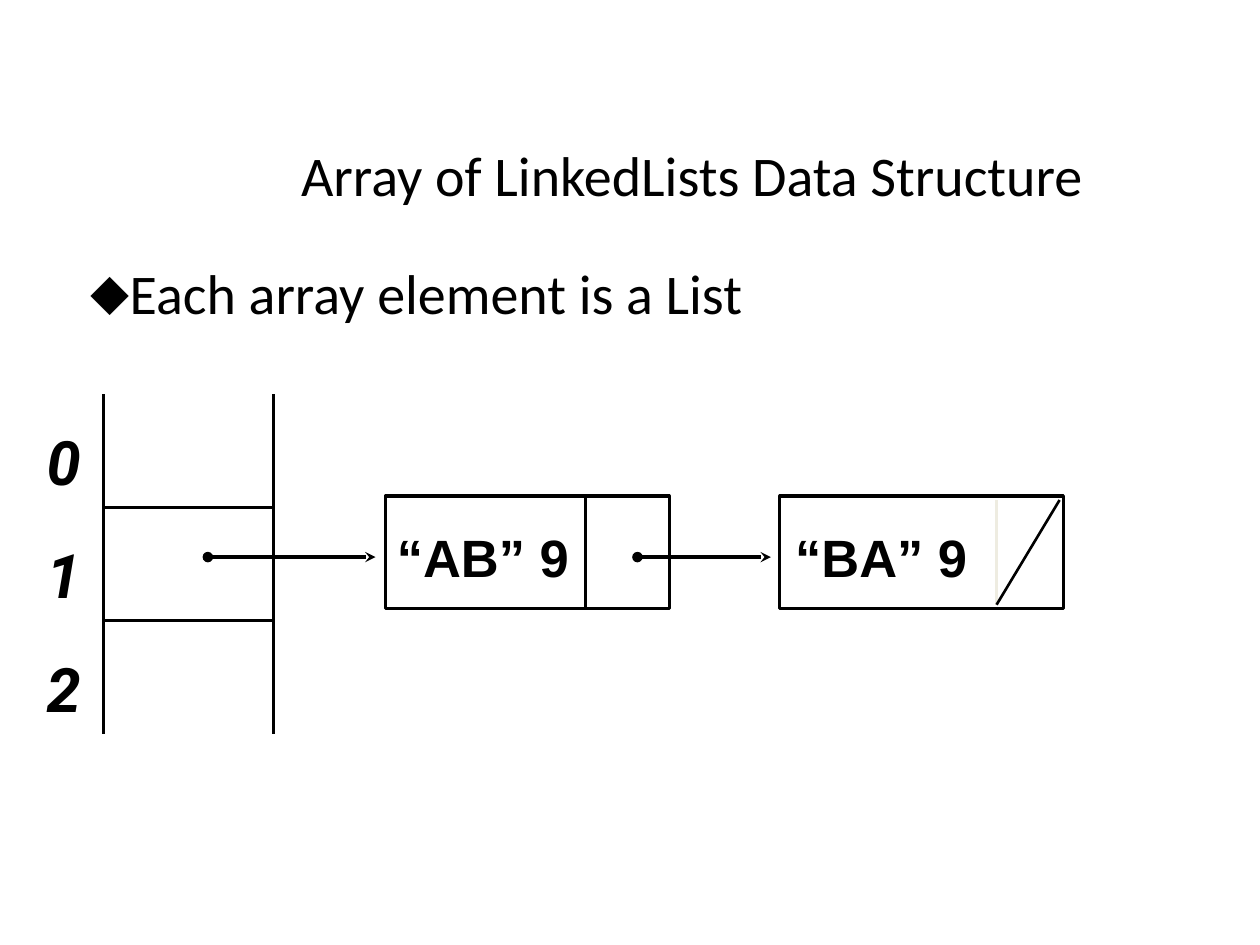
import pptx
import pptx.dml.color
import pptx.enum.shapes
import pptx.enum.text
import pptx.oxml
import pptx.oxml.ns
import pptx.util
from pptx.util import Cm

COLORS = {"ink": "000000", "paper": "FFFFFF", "faint": "EEECE1"}


def rgb(name):
    return pptx.dml.color.RGBColor.from_string(COLORS[name])


def add_xml(parent, tag, **attributes):
    element = pptx.oxml.parse_xml(f"<{tag} {pptx.oxml.ns.nsdecls('a')}/>")
    for key, value in attributes.items():
        element.set(key, value)
    parent.append(element)
    return element


class ListDiagram:
    heading_font = "Calibri"
    node_font = "Arial"
    index_font = "Roboto"
    border = 1.75

    def __init__(self, slide):
        self.slide = slide

    def add_words(self, paragraph, words, size, font, bold=None, italic=None):
        run = paragraph.add_run()
        run.text = words
        run.font.size = pptx.util.Pt(size)
        run.font.name = font
        run.font.bold = bold
        run.font.italic = italic
        run.font.color.rgb = rgb("ink")

    def fill_placeholder(self, index, words, left, top, width, height):
        holder = self.slide.placeholders[index]
        holder.left, holder.top = Cm(left), Cm(top)
        holder.width, holder.height = Cm(width), Cm(height)
        holder.text_frame.auto_size = pptx.enum.text.MSO_AUTO_SIZE.NONE
        paragraph = holder.text_frame.paragraphs[0]
        self.add_words(paragraph, words, 32, self.heading_font)
        return paragraph

    def title(self, words, *place):
        paragraph = self.fill_placeholder(0, words, *place)
        paragraph.alignment = pptx.enum.text.PP_ALIGN.CENTER

    def bullet(self, words, *place):
        paragraph = self.fill_placeholder(1, words, *place)
        paragraph.level = 1
        properties = paragraph._p.get_or_add_pPr()
        properties.set("marL", str(Cm(1.09)))
        properties.set("indent", str(Cm(-0.79)))
        spacing = add_xml(properties, "a:spcBef")
        add_xml(spacing, "a:spcPct", val="20000")
        color = add_xml(properties, "a:buClr")
        add_xml(color, "a:srgbClr", val=COLORS["ink"])
        add_xml(properties, "a:buChar", char="⬥")

    def box(self, left, top, width, height, fill=None, line=None):
        shape = self.slide.shapes.add_shape(
            pptx.enum.shapes.MSO_SHAPE.RECTANGLE,
            Cm(left), Cm(top), Cm(width), Cm(height))
        shape.shadow.inherit = False
        if fill:
            shape.fill.solid()
            shape.fill.fore_color.rgb = rgb(fill)
        else:
            shape.fill.background()
        if line:
            shape.line.color.rgb = rgb(line)
            shape.line.width = pptx.util.Pt(self.border)
        else:
            shape.line.fill.background()

    def line(self, x1, y1, x2, y2, width=border, color="ink"):
        connector = self.slide.shapes.add_connector(
            pptx.enum.shapes.MSO_CONNECTOR.STRAIGHT,
            Cm(x1), Cm(y1), Cm(x2), Cm(y2))
        connector.line.color.rgb = rgb(color)
        connector.line.width = pptx.util.Pt(width)
        add_xml(connector._element.spPr, "a:effectLst")
        return connector

    def pointer(self, start, end, y):
        outline = self.line(start, y, end, y, 2).line._get_or_add_ln()
        add_xml(outline, "a:headEnd", type="oval")
        add_xml(outline, "a:tailEnd", type="stealth")

    def label(self, words, left, top, width, height, size, font, italic=None):
        frame = self.slide.shapes.add_textbox(
            Cm(left), Cm(top), Cm(width), Cm(height)).text_frame
        frame.margin_left = frame.margin_right = 0
        frame.margin_top = frame.margin_bottom = 0
        frame.word_wrap = False
        frame.auto_size = pptx.enum.text.MSO_AUTO_SIZE.SHAPE_TO_FIT_TEXT
        self.add_words(frame.paragraphs[0], words, size, font, True, italic)


def main():
    deck = pptx.Presentation()
    deck.slide_width, deck.slide_height = Cm(25.4), Cm(19.05)
    diagram = ListDiagram(deck.slides.add_slide(deck.slide_layouts[1]))

    diagram.title("Array of LinkedLists Data Structure", 4.19, 1.73, 19.53, 3.56)
    diagram.bullet("Each array element is a List", 1.27, 5.08, 22.66, 2.54)
    diagram.box(0.43, 7.82, 24.51, 7.06, fill="paper")

    array_left, array_right, array_top, cell = 2.08, 5.51, 7.95, 2.28
    for side in (array_left, array_right):
        diagram.line(side, array_top, side, array_top + 3 * cell)
    for row in (1, 2):
        y = array_top + row * cell
        diagram.line(array_left, y, array_right, y)
    for row in range(3):
        diagram.label(str(row), 0.94, 8.56 + row * cell, 0.61, 1.47,
                      35, diagram.index_font, True)

    node_top, node_width, node_height = 10, 5.72, 2.27
    for words, node_left, text_left in (("“AB” 9", 7.77, 8), ("“BA” 9", 15.72, 16.03)):
        diagram.box(node_left, node_top, node_width, node_height, line="ink")
        diagram.label(words, text_left, 10.59, 3.5, 1.3, 30, diagram.node_font)
    diagram.line(11.8, node_top, 11.8, node_top + node_height)

    null_left, null_right, null_top, null_bottom = 20.09, 21.36, 10.08, 12.19
    diagram.line(null_left, null_top, null_left, null_bottom, 1.25, "faint")
    for start, end in ((4.19, 7.57), (12.85, 15.54)):
        diagram.pointer(start, end, 11.23)
    diagram.line(null_right, null_top, null_left, null_bottom, 1.5)

    deck.save("out.pptx")


if __name__ == "__main__":
    main()
